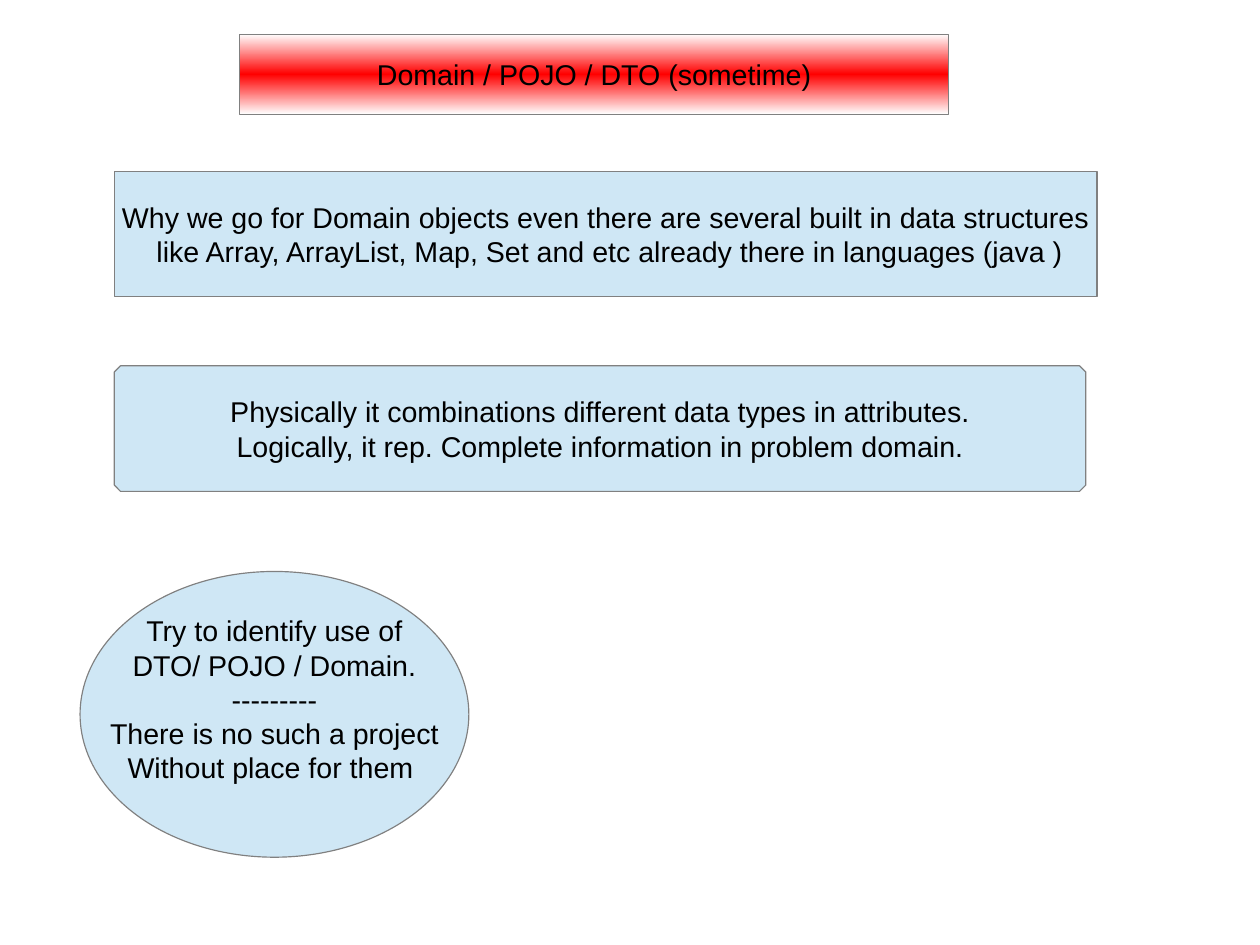
from copy import deepcopy

from pptx import Presentation
from pptx.dml.color import RGBColor
from pptx.enum.shapes import MSO_SHAPE
from pptx.enum.text import MSO_ANCHOR, PP_ALIGN
from pptx.oxml.ns import qn
from pptx.util import Cm, Pt

RECT, OVAL, OCTAGON = MSO_SHAPE.RECTANGLE, MSO_SHAPE.OVAL, MSO_SHAPE.OCTAGON
TOP, MIDDLE = MSO_ANCHOR.TOP, MSO_ANCHOR.MIDDLE
CENTER = PP_ALIGN.CENTER

COLORS = {"text": "000000", "line": "808080", "pale": "CFE7F5",
          "white": "FFFFFF", "red": "FF0000"}


def color(name):
    return RGBColor.from_string(COLORS[name])


def add_panel(slide, kind, box, lines, anchor=MIDDLE):
    """Pale outlined shape with one centred paragraph per line."""
    panel = slide.shapes.add_shape(kind, *(Cm(side) for side in box))
    panel.shadow.inherit = False
    panel.fill.solid()
    panel.fill.fore_color.rgb = color("pale")
    panel.line.color.rgb = color("line")
    panel.line.width = Pt(0.75)

    frame = panel.text_frame
    frame.word_wrap = False
    frame.vertical_anchor = anchor
    frame.text = "\n".join(lines)
    for para in frame.paragraphs:
        para.alignment = CENTER
        para.font.name = "Arial"
        para.font.size = Pt(18)
        para.font.color.rgb = color("text")
    return panel


def add_title(slide, box):
    title = add_panel(slide, RECT, box, ["Domain / POJO / DTO (sometime)"])
    # Red band fading to white above and below
    fill = title.fill
    fill.gradient()
    fill.gradient_angle = 90
    stops = title.element.spPr.find(qn("a:gradFill")).find(qn("a:gsLst"))
    stops.insert(1, deepcopy(stops[0]))
    for stop, place, name in zip(fill.gradient_stops, (0, 0.5, 1),
                                 ("white", "red", "white")):
        stop.position = place
        stop.color.rgb = color(name)


def add_question(slide, box):
    # The vertical tab is a line break inside the paragraph
    add_panel(slide, RECT, box, [
        "Why we go for Domain objects even there are several built in "
        "data structures\v like Array, ArrayList, Map, Set and etc already "
        "there in languages (java )"])


def add_answer(slide, box):
    answer = add_panel(slide, OCTAGON, box, [
        "Physically it combinations different data types in attributes.",
        "Logically, it rep. Complete information in problem domain."])
    answer.adjustments[0] = 0.05


def add_task(slide, box):
    task = add_panel(slide, OVAL, box, [
        "Try to identify use of",
        "DTO/ POJO / Domain.",
        "---------",
        "There is no such a project",
        "Without place for them "], TOP)
    task.text_frame.margin_top = Cm(0)


deck = Presentation()
deck.slide_width, deck.slide_height = Cm(28), Cm(21)
page = deck.slides.add_slide(deck.slide_layouts[6])

# Boxes are left, top, width, height in centimetres
add_title(page, (5.33, 0.76, 15.75, 1.78))
add_question(page, (2.54, 3.81, 21.84, 2.79))
add_answer(page, (2.54, 8.13, 21.59, 2.79))
add_task(page, (1.78, 12.7, 8.64, 6.35))

deck.save("out.pptx")
